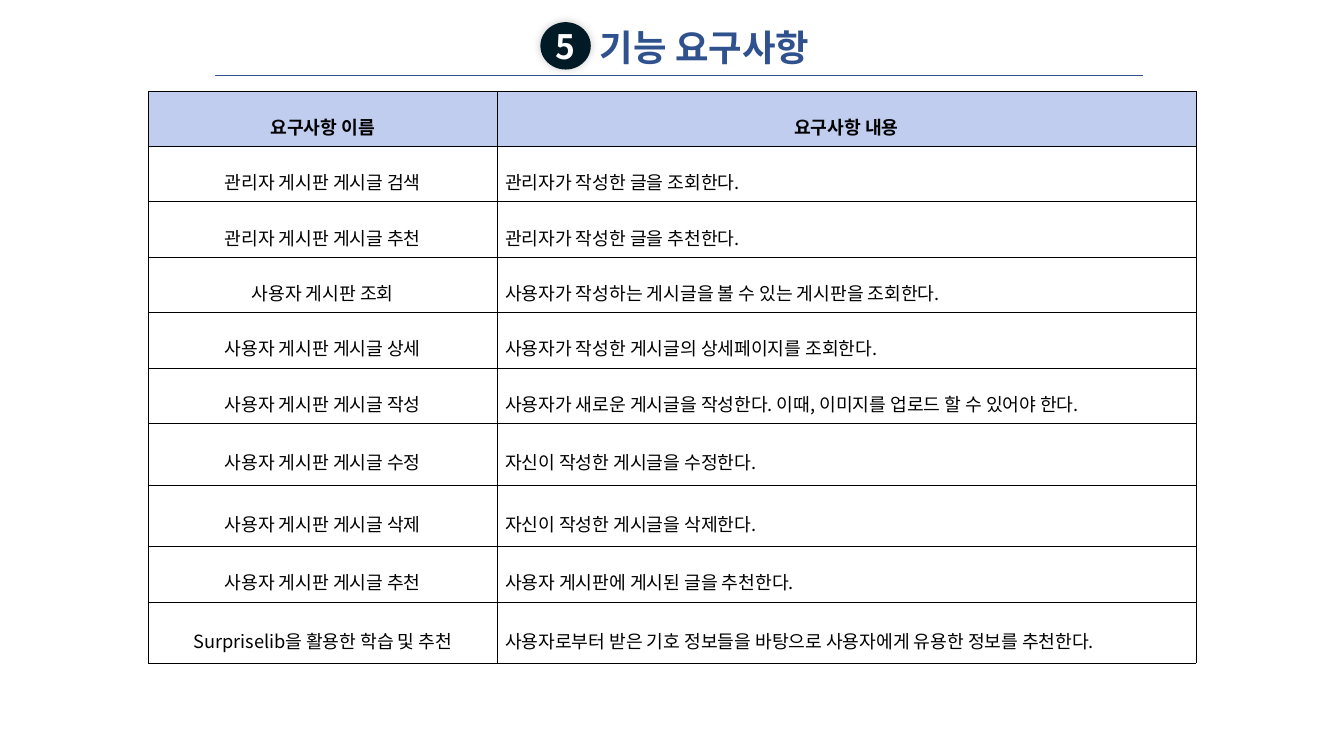
from dataclasses import dataclass

import pptx
import pptx.dml.color
import pptx.enum.shapes
import pptx.enum.text
import pptx.oxml
import pptx.oxml.ns
import pptx.util
from pptx.util import Inches

FONT = "Noto Sans CJK KR"
COLORS = {
    "navy": "2F528F",
    "badge": "001A26",
    "header": "C0CDEF",
    "black": "000000",
    "white": "FFFFFF",
}
ALIGN = pptx.enum.text.PP_ALIGN
NAMESPACE = pptx.oxml.ns.nsdecls("a")


@dataclass(frozen=True)
class Label:
    text: str
    left: float
    top: float
    width: float
    height: float
    size: float
    color: str
    wrap: bool


@dataclass(frozen=True)
class Requirement:
    name: str
    content: str
    height: float = 0.55


LABELS = [
    Label("기능 요구사항", 5.83, 0.19, 2.59, 0.56, 26, "navy", False),
    Label("5", 5.39, 0.2, 0.39, 0.53, 24, "white", True),
]
HEADER = Requirement("요구사항 이름", "요구사항 내용")
REQUIREMENTS = [
    Requirement("관리자 게시판 게시글 검색", "관리자가 작성한 글을 조회한다."),
    Requirement("관리자 게시판 게시글 추천", "관리자가 작성한 글을 추천한다."),
    Requirement("사용자 게시판 조회", "사용자가 작성하는 게시글을 볼 수 있는 게시판을 조회한다."),
    Requirement("사용자 게시판 게시글 상세", "사용자가 작성한 게시글의 상세페이지를 조회한다."),
    Requirement(
        "사용자 게시판 게시글 작성",
        "사용자가 새로운 게시글을 작성한다. 이때, 이미지를 업로드 할 수 있어야 한다.",
    ),
    Requirement("사용자 게시판 게시글 수정", "자신이 작성한 게시글을 수정한다.", 0.61),
    Requirement("사용자 게시판 게시글 삭제", "자신이 작성한 게시글을 삭제한다.", 0.61),
    Requirement("사용자 게시판 게시글 추천", "사용자 게시판에 게시된 글을 추천한다."),
    Requirement(
        "Surpriselib을 활용한 학습 및 추천",
        "사용자로부터 받은 기호 정보들을 바탕으로 사용자에게 유용한 정보를 추천한다.",
        0.61,
    ),
]
COLUMN_WIDTHS = [3.46, 6.93]


def rgb(name: str) -> pptx.dml.color.RGBColor:
    return pptx.dml.color.RGBColor.from_string(COLORS[name])


def style_paragraph(paragraph, size: float, color: str, bold: bool) -> None:
    font = paragraph.font
    font.name = FONT
    font.size = pptx.util.Pt(size)
    font.bold = bold
    font.color.rgb = rgb(color)
    east_asian = pptx.oxml.parse_xml(f'<a:ea {NAMESPACE} typeface="{FONT}"/>')
    font._element.find(pptx.oxml.ns.qn("a:latin")).addnext(east_asian)


def add_label(slide, label: Label) -> None:
    box = slide.shapes.add_textbox(
        Inches(label.left), Inches(label.top), Inches(label.width), Inches(label.height)
    )
    frame = box.text_frame
    frame.word_wrap = label.wrap
    frame.auto_size = pptx.enum.text.MSO_AUTO_SIZE.SHAPE_TO_FIT_TEXT
    frame.margin_left = frame.margin_right = Inches(0.12)
    frame.margin_top = frame.margin_bottom = Inches(0.06)
    paragraph = frame.paragraphs[0]
    paragraph.text = label.text
    style_paragraph(paragraph, label.size, label.color, True)


def add_title_rule(slide) -> None:
    rule = slide.shapes.add_connector(
        pptx.enum.shapes.MSO_CONNECTOR.STRAIGHT,
        Inches(2.13), Inches(0.75), Inches(11.34), Inches(0.75),
    )
    rule.line.color.rgb = rgb("navy")
    rule.line.width = pptx.util.Pt(1)
    rule._element.spPr.append(pptx.oxml.parse_xml(f"<a:effectLst {NAMESPACE}/>"))


def add_number_badge(slide) -> None:
    badge = slide.shapes.add_shape(
        pptx.enum.shapes.MSO_SHAPE.OVAL,
        Inches(5.36), Inches(0.22), Inches(0.5), Inches(0.47),
    )
    badge.fill.solid()
    badge.fill.fore_color.rgb = rgb("badge")
    badge.line.fill.background()
    badge.shadow.inherit = False
    effects = badge._element.spPr.find(pptx.oxml.ns.qn("a:effectLst"))
    effects.append(pptx.oxml.parse_xml(
        f'<a:outerShdw {NAMESPACE} blurRad="{pptx.util.Pt(6)}" dist="0" dir="18900000">'
        f'<a:srgbClr val="{COLORS["black"]}"><a:alpha val="20000"/></a:srgbClr>'
        "</a:outerShdw>"
    ))


def fill_cell(cell, text: str, alignment, is_header: bool) -> None:
    cell.margin_left = cell.margin_right = Inches(0.08)
    cell.margin_top = cell.margin_bottom = Inches(0.02)
    cell.vertical_anchor = pptx.enum.text.MSO_ANCHOR.MIDDLE
    properties = cell._tc.get_or_add_tcPr()
    for side in ("lnL", "lnR", "lnT", "lnB"):
        properties.append(pptx.oxml.parse_xml(
            f'<a:{side} {NAMESPACE} w="{pptx.util.Pt(0.28)}"><a:solidFill>'
            f'<a:srgbClr val="{COLORS["black"]}"/></a:solidFill></a:{side}>'
        ))
    if is_header:
        cell.fill.solid()
        cell.fill.fore_color.rgb = rgb("header")
    else:
        cell.fill.background()
    paragraph = cell.text_frame.paragraphs[0]
    paragraph.text = text
    paragraph.alignment = alignment
    paragraph.line_spacing = 1.6
    style_paragraph(paragraph, 13, "black", is_header)


def add_requirements_table(slide) -> None:
    rows = [HEADER, *REQUIREMENTS]
    table = slide.shapes.add_table(
        len(rows), len(COLUMN_WIDTHS), Inches(1.47), Inches(0.9),
        Inches(sum(COLUMN_WIDTHS)), Inches(sum(row.height for row in rows)),
    ).table
    table.first_row = False
    table.horz_banding = False
    for column, width in zip(table.columns, COLUMN_WIDTHS):
        column.width = Inches(width)
    for index, row in enumerate(rows):
        is_header = row is HEADER
        table.rows[index].height = Inches(row.height)
        content_alignment = ALIGN.CENTER if is_header else ALIGN.JUSTIFY
        fill_cell(table.cell(index, 0), row.name, ALIGN.CENTER, is_header)
        fill_cell(table.cell(index, 1), row.content, content_alignment, is_header)


def main() -> None:
    presentation = pptx.Presentation()
    presentation.slide_width = Inches(13.33)
    presentation.slide_height = Inches(7.5)
    slide = presentation.slides.add_slide(presentation.slide_layouts[6])
    title, number = LABELS
    add_label(slide, title)
    add_title_rule(slide)
    add_number_badge(slide)
    add_label(slide, number)
    add_requirements_table(slide)
    presentation.save("out.pptx")


if __name__ == "__main__":
    main()
